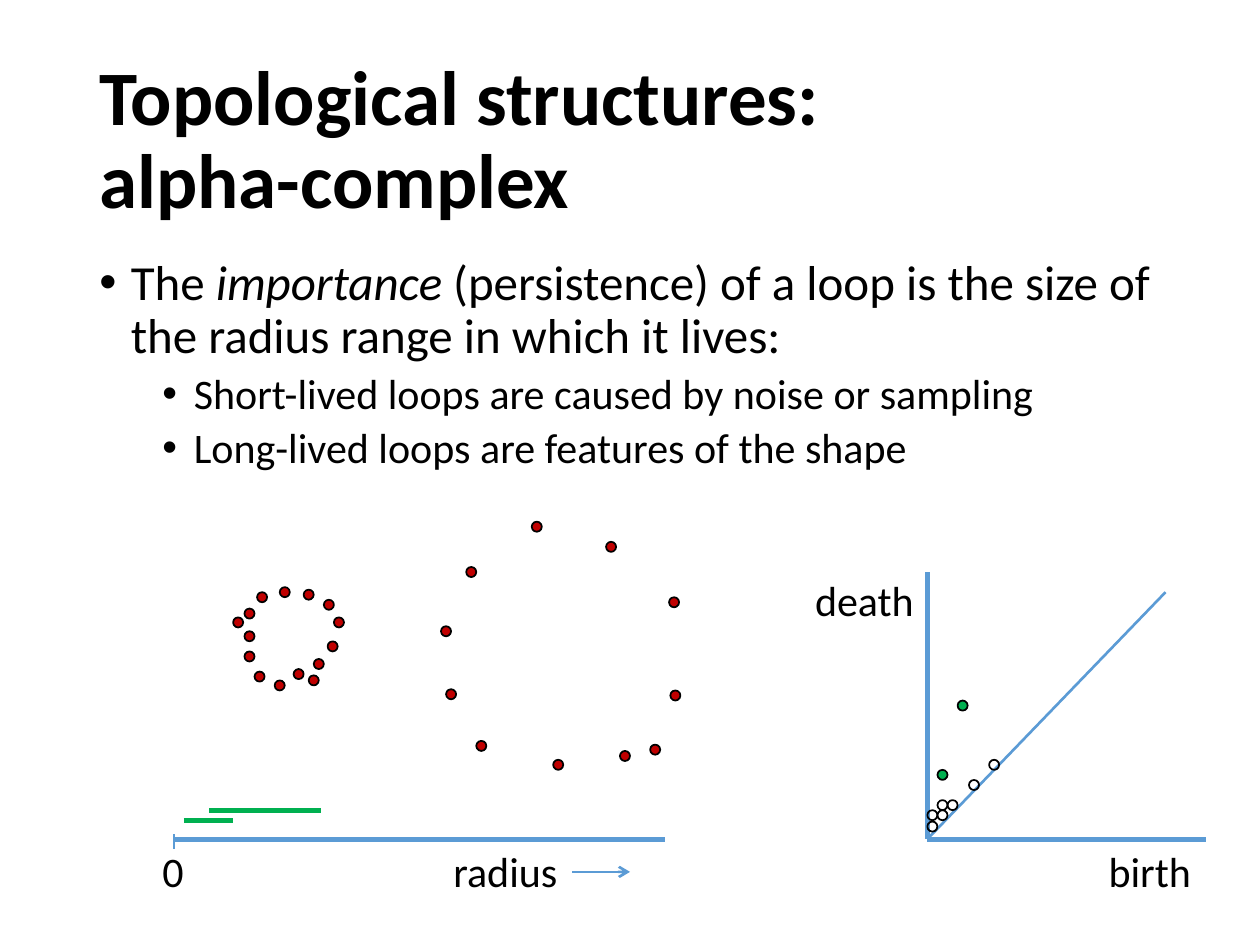
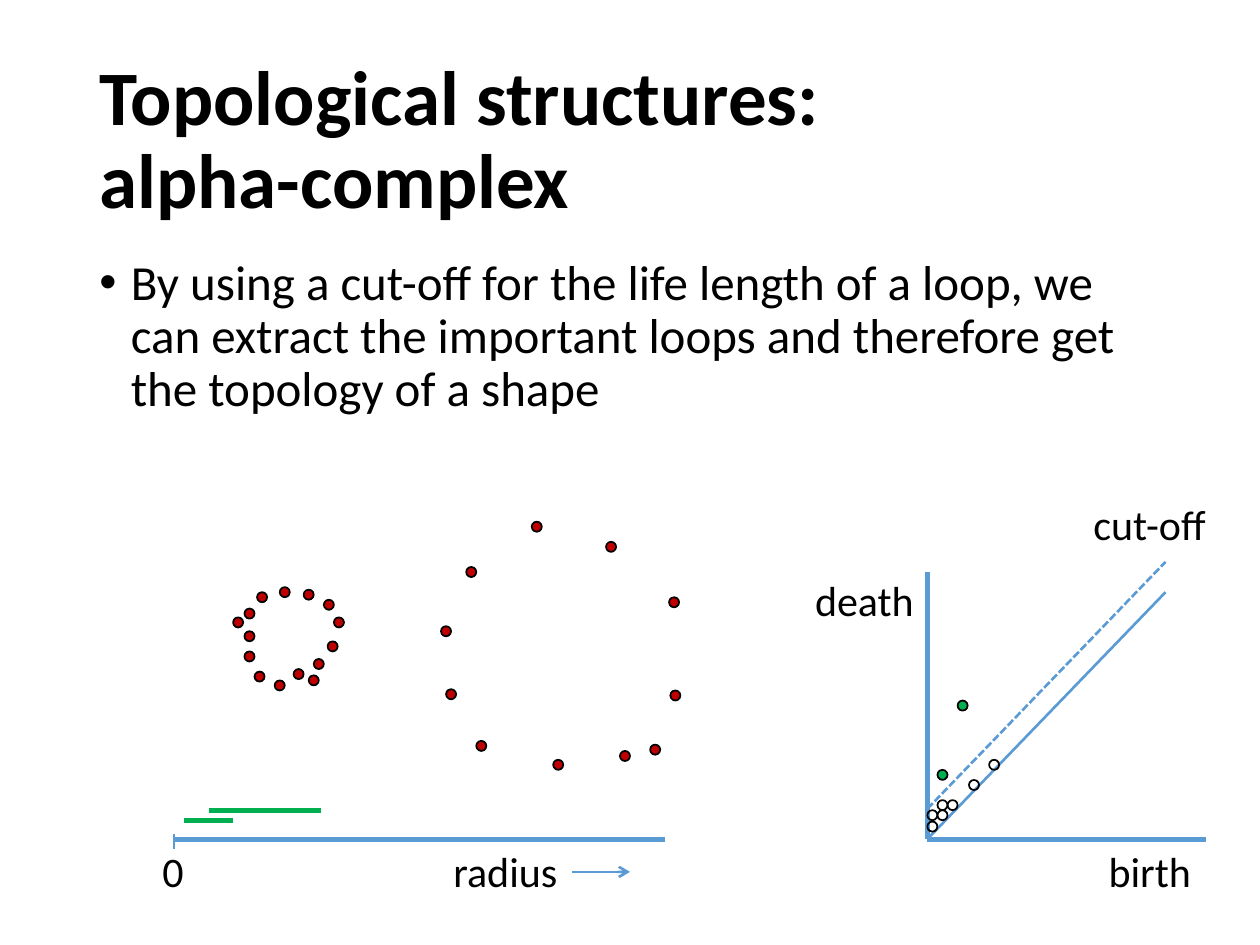
from lxml.etree import SubElement
from pptx import Presentation
from pptx.dml.color import RGBColor
from pptx.enum.dml import MSO_LINE
from pptx.enum.shapes import MSO_CONNECTOR, MSO_SHAPE
from pptx.enum.text import MSO_ANCHOR, MSO_AUTO_SIZE
from pptx.oxml.ns import qn
from pptx.util import Inches, Pt

FONT = "Calibri"
BLACK, RED, GREEN, BLUE = "000000", "C00000", "00B050", "5B9BD5"
DOT_SIZE = 0.08
THIN, THICK = 1.5, 3

TITLE = "Topological structures:\valpha-complex"
# Bullet level: (font size, left indent in inches, space before)
BULLET_LEVELS = [(28, 0.25, 10), (24, 0.75, 5)]
PERSISTENCE_BULLETS = [
    (0, [("The ", False), ("importance", True),
         (" (persistence) of a loop is the size of the radius range "
          "in which it lives:", False)]),
    (1, [("Short-lived loops are caused by noise or sampling", False)]),
    (1, [("Long-lived loops are features of the shape", False)]),
]
CUT_OFF_BULLETS = [
    (0, [("By using a cut-off for the life length of a loop, we can extract "
          "the important loops and therefore get the topology of a shape",
          False)]),
]

# Top left corners of the dots
SMALL_LOOP = [
    (2.04, 4.7), (1.94, 5.01), (1.94, 4.83), (1.94, 5.17), (2.22, 4.66),
    (2.57, 4.76), (2.41, 4.68), (2.65, 4.9), (2.6, 5.09), (2.49, 5.23),
    (2.33, 5.31), (2.02, 5.33), (2.18, 5.4), (1.85, 4.9), (2.45, 5.36),
]
LARGE_LOOP = [
    (3.7, 4.5), (3.54, 5.47), (3.5, 4.97), (4.22, 4.14), (5.31, 4.74),
    (4.81, 4.3), (5.32, 5.48), (4.92, 5.96), (4.39, 6.03), (3.78, 5.88),
    (5.16, 5.91),
]
LONG_LIVED = [(7.44, 6.11), (7.6, 5.56)]
SHORT_LIVED = [
    (7.44, 6.43), (7.52, 6.35), (7.36, 6.52), (7.44, 6.35), (7.36, 6.43),
    (7.69, 6.19), (7.85, 6.03),
]

AXIS_Y = 6.66
RADIUS_ZERO = 1.38
BIRTH_ZERO = 7.36
DIAGONAL_END = (9.25, 4.7)
CUT_OFF_RISE = 0.24


def color(hex_code):
    return RGBColor.from_string(hex_code)


def format_run(run, size, bold=False, italic=False):
    font = run.font
    font.name, font.size = FONT, Pt(size)
    font.bold, font.italic = bold, italic
    font.color.rgb = color(BLACK)


def add_text_frame(slide, left, top, width, height, wrap=True):
    box = slide.shapes.add_textbox(Inches(left), Inches(top),
                                   Inches(width), Inches(height))
    box.text_frame.word_wrap = wrap
    return box.text_frame


def add_title(slide):
    frame = add_text_frame(slide, 0.69, 0.4, 8.62, 1.45)
    frame.vertical_anchor = MSO_ANCHOR.MIDDLE
    frame.text = TITLE
    heading = frame.paragraphs[0]
    heading.line_spacing = 0.9
    for run in heading.runs:
        format_run(run, 44, bold=True)


def add_bullets(slide, bullets):
    frame = add_text_frame(slide, 0.69, 2, 8.64, 1.91)
    for index, (level, pieces) in enumerate(bullets):
        size, indent, space_before = BULLET_LEVELS[level]
        paragraph = frame.add_paragraph() if index else frame.paragraphs[0]
        paragraph.level = level
        paragraph.line_spacing = 0.9
        if index:
            paragraph.space_before = Pt(space_before)
        properties = paragraph._p.get_or_add_pPr()
        properties.set("marL", str(Inches(indent)))
        properties.set("indent", str(Inches(-0.25)))
        SubElement(properties, qn("a:buFont"), typeface="Arial")
        SubElement(properties, qn("a:buChar"), char="•")
        for text, italic in pieces:
            run = paragraph.add_run()
            run.text = text
            format_run(run, size, italic=italic)


def add_label(slide, text, left, top, width):
    frame = add_text_frame(slide, left, top, width, 0.5, wrap=False)
    frame.auto_size = MSO_AUTO_SIZE.SHAPE_TO_FIT_TEXT
    frame.text = text
    format_run(frame.paragraphs[0].runs[0], 24)


def add_line(slide, start, end, width, line_color=BLUE):
    connector = slide.shapes.add_connector(
        MSO_CONNECTOR.STRAIGHT, *map(Inches, start + end))
    connector.line.color.rgb = color(line_color)
    connector.line.width = Pt(width)
    SubElement(connector._element.spPr, qn("a:effectLst"))
    return connector.line


def add_dots(slide, corners, fill_color=None):
    """Draw one dot per corner, hollow when there is no fill colour."""
    for left, top in corners:
        dot = slide.shapes.add_shape(
            MSO_SHAPE.OVAL, Inches(left), Inches(top),
            Inches(DOT_SIZE), Inches(DOT_SIZE))
        dot.shadow.inherit = False
        if fill_color:
            dot.fill.solid()
            dot.fill.fore_color.rgb = color(fill_color)
        else:
            dot.fill.background()
        dot.line.color.rgb = color(BLACK)
        dot.line.width = Pt(1)


def add_radius_axis(slide):
    """Draw the radius axis and the life span of each loop above it."""
    add_line(slide, (RADIUS_ZERO, AXIS_Y), (5.28, AXIS_Y), THICK)
    add_line(slide, (1.46, 6.51), (1.85, 6.51), THICK, GREEN)
    add_line(slide, (1.66, 6.43), (2.55, 6.43), THICK, GREEN)
    add_label(slide, "radius", 3.5, AXIS_Y, 1.04)
    direction = add_line(slide, (4.54, 6.92), (5, 6.92), THIN)
    SubElement(direction._get_or_add_ln(), qn("a:tailEnd"), type="arrow")
    add_line(slide, (RADIUS_ZERO, 6.62), (RADIUS_ZERO, 6.74), THIN)
    add_label(slide, "0", 1.19, AXIS_Y, 0.37)


def add_persistence_diagram(slide):
    origin = (BIRTH_ZERO, AXIS_Y)
    add_line(slide, (BIRTH_ZERO, 4.54), origin, THICK)
    add_line(slide, origin, (9.57, AXIS_Y), THICK)
    add_label(slide, "birth", 8.7, AXIS_Y, 0.86)
    add_label(slide, "death", 6.37, 4.51, 0.99)
    add_line(slide, origin, DIAGONAL_END, THIN)
    add_dots(slide, LONG_LIVED, GREEN)
    add_dots(slide, SHORT_LIVED)


def add_cut_off(slide):
    end_x, end_y = DIAGONAL_END
    cut_off = add_line(slide, (BIRTH_ZERO, AXIS_Y - CUT_OFF_RISE),
                       (end_x, end_y - CUT_OFF_RISE), THIN)
    cut_off.dash_style = MSO_LINE.SQUARE_DOT
    # The preset name of the short system dash
    cut_off._get_or_add_ln().find(qn("a:prstDash")).set("val", "sysDash")
    add_label(slide, "cut-off", 8.58, 3.91, 1.12)


def add_loop_slide(deck, bullets):
    slide = deck.slides.add_slide(deck.slide_layouts[6])
    add_title(slide)
    add_bullets(slide, bullets)
    add_dots(slide, SMALL_LOOP + LARGE_LOOP, RED)
    add_radius_axis(slide)
    add_persistence_diagram(slide)
    return slide


def main():
    deck = Presentation()
    deck.slide_width, deck.slide_height = Inches(10), Inches(7.5)
    add_loop_slide(deck, PERSISTENCE_BULLETS)
    add_cut_off(add_loop_slide(deck, CUT_OFF_BULLETS))
    deck.save("out.pptx")


if __name__ == "__main__":
    main()
